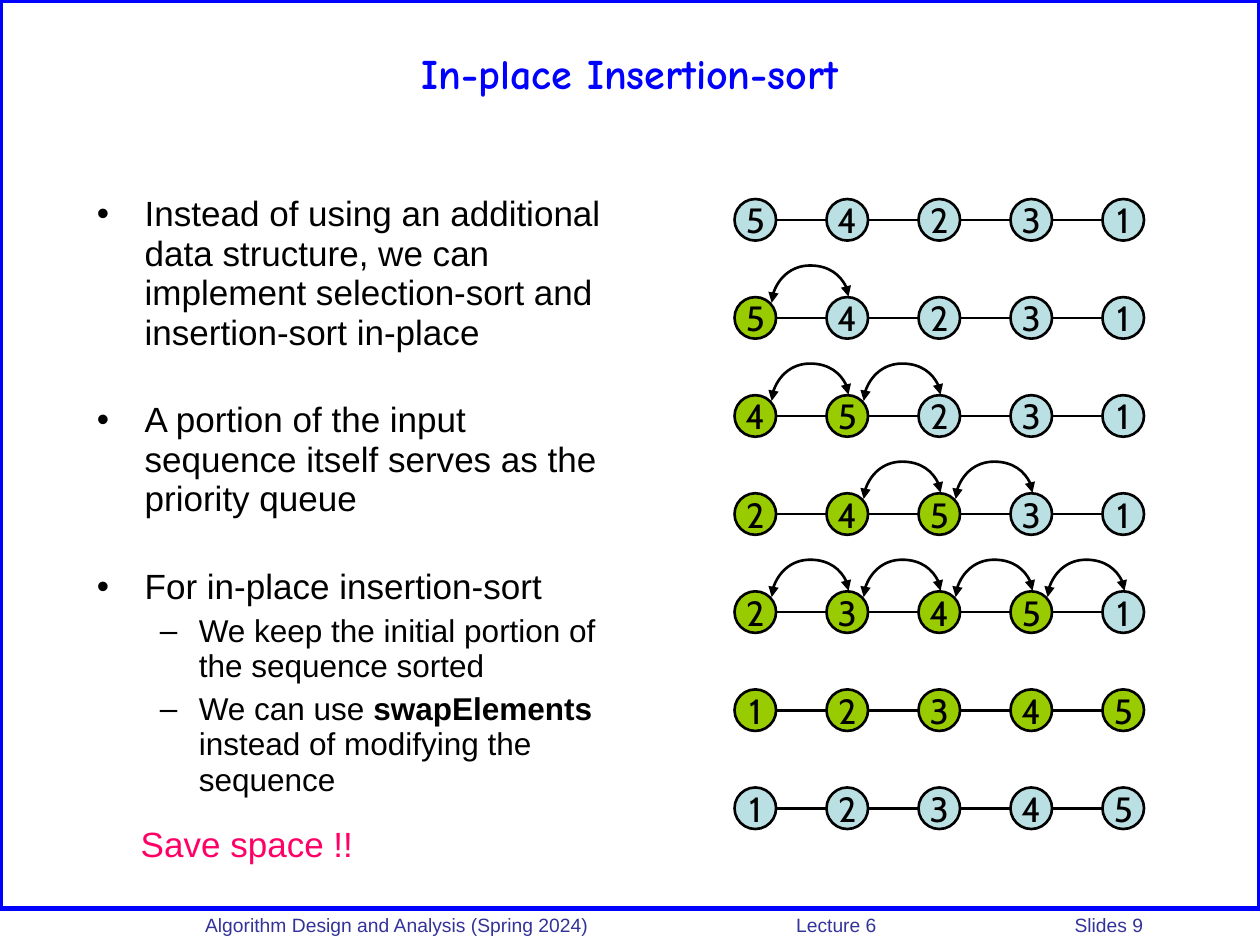
import dataclasses

import pptx
import pptx.dml.color
import pptx.enum.shapes
import pptx.enum.text
import pptx.oxml.ns
import pptx.util
from lxml import etree

Inches = pptx.util.Inches
Pt = pptx.util.Pt
ALIGN = pptx.enum.text.PP_ALIGN
ANCHOR = pptx.enum.text.MSO_ANCHOR
SHAPE = pptx.enum.shapes.MSO_SHAPE
CONNECTOR = pptx.enum.shapes.MSO_CONNECTOR
qn = pptx.oxml.ns.qn


@dataclasses.dataclass(frozen=True)
class Theme:
    blue: str = "0000FF"
    navy: str = "333399"
    black: str = "000000"
    pink: str = "FF0066"
    unsorted: str = "BBE0E3"
    sorted: str = "99CC00"
    body_font: str = "Arial"
    title_font: str = "Comic Neue"
    node_font: str = "Cabin"
    title: float = 24
    body: float = 20
    sub: float = 18
    footer: float = 11
    thin: float = 1.5
    thick: float = 3


def rgb(color):
    return pptx.dml.color.RGBColor.from_string(color)


class Deck:
    def __init__(self, theme):
        self.theme = theme
        self.prs = pptx.Presentation()
        self.prs.slide_width, self.prs.slide_height = Inches(10), Inches(7.5)
        self.s = self.prs.slides.add_slide(self.prs.slide_layouts[6])

    def style(self, p, size, color, font=None, bold=False):
        for r in p.runs:
            r.font.size = Pt(size)
            r.font.name = font or self.theme.body_font
            r.font.color.rgb = rgb(color)
            r.font.bold = bold

    def text_frame(self, x, y, w, h):
        sp = self.s.shapes.add_textbox(Inches(x), Inches(y), Inches(w), Inches(h))
        sp.text_frame.word_wrap = True
        return sp.text_frame

    def text(self, x, y, w, h, text, size, color, font=None, bold=False,
             align=ALIGN.CENTER, anchor=ANCHOR.TOP, tabs=()):
        tf = self.text_frame(x, y, w, h)
        tf.vertical_anchor = anchor
        tf.text = text
        p = tf.paragraphs[0]
        if tabs:
            tab_list = etree.SubElement(p._p.get_or_add_pPr(), qn("a:tabLst"))
            for pos in tabs:
                etree.SubElement(tab_list, qn("a:tab"), pos=str(Inches(pos)), algn="l")
        p.alignment = align
        self.style(p, size, color, font, bold)

    def bullets(self, x, y, w, h, items):
        tf = self.text_frame(x, y, w, h)
        for i, (level, before, pieces) in enumerate(items):
            p = tf.add_paragraph() if i else tf.paragraphs[0]
            p.level = level
            char, margin, hang = (("•", 0.38, 0.38), ("–", 0.81, 0.31))[level]
            pPr = p._p.get_or_add_pPr()
            pPr.set("marL", str(Inches(margin)))
            pPr.set("indent", str(-Inches(hang)))
            etree.SubElement(pPr, qn("a:buFont"), typeface=self.theme.body_font)
            etree.SubElement(pPr, qn("a:buChar"), char=char)
            p.line_spacing = 0.94
            p.space_before = Pt(before)
            for piece in pieces:
                p.add_run().text = piece
            self.style(p, self.theme.sub if level else self.theme.body, self.theme.black)
            for r in p.runs[1::2]:
                r.font.bold = True

    def shape(self, kind, x, y, w, h, line, width, fill=None):
        sp = self.s.shapes.add_shape(kind, Inches(x), Inches(y), Inches(w), Inches(h))
        sp.shadow.inherit = False
        sp.line.color.rgb = rgb(line)
        sp.line.width = Pt(width)
        if fill:
            sp.fill.solid()
            sp.fill.fore_color.rgb = rgb(fill)
        else:
            sp.fill.background()
        return sp

    def node(self, x, y, size, label, fill):
        t = self.theme
        sp = self.shape(SHAPE.OVAL, x, y, size, size, t.black, t.thin, fill)
        tf = sp.text_frame
        tf.word_wrap = False
        tf.vertical_anchor = ANCHOR.MIDDLE
        tf.margin_left = tf.margin_right = tf.margin_top = tf.margin_bottom = 0
        tf.text = label
        p = tf.paragraphs[0]
        p.alignment = ALIGN.CENTER
        self.style(p, t.body, t.black, t.node_font)

    def connector(self, kind, x1, y1, x2, y2):
        c = self.s.shapes.add_connector(kind, Inches(x1), Inches(y1), Inches(x2), Inches(y2))
        c.line.color.rgb = rgb(self.theme.black)
        c.line.width = Pt(self.theme.thin)
        etree.SubElement(c._element.spPr, qn("a:effectLst"))
        return c

    def swap_arrow(self, cx, cy, span, drop, bend):
        c = self.connector(CONNECTOR.CURVE, cx + drop / 2, cy + span / 2,
                           cx - drop / 2, cy - span / 2)
        spPr = c._element.spPr
        spPr.find(qn("a:xfrm")).set("rot", str(270 * 60000))
        guides = spPr.find(qn("a:prstGeom")).find(qn("a:avLst"))
        etree.SubElement(guides, qn("a:gd"), name="adj1", fmla=f"val {round(bend * 100000)}")
        ln = spPr.find(qn("a:ln"))
        for end in ("a:headEnd", "a:tailEnd"):
            etree.SubElement(ln, qn(end), type="triangle")


STEPS = [
    ("54231", 0, ()),
    ("54231", 1, (0,)),
    ("45231", 2, (0, 1)),
    ("24531", 3, (1, 2)),
    ("23451", 4, (0, 1, 2, 3)),
    ("12345", 5, ()),
    ("12345", 0, ()),
]

BULLETS = [
    (0, 0, ["Instead of using an additional data structure, we can implement "
            "selection-sort and insertion-sort in-place"]),
    (0, 27.4, ["A portion of the input sequence itself serves as the priority queue"]),
    (0, 27.4, ["For in-place insertion-sort"]),
    (1, 4, ["We keep the initial portion of the sequence sorted"]),
    (1, 4, ["We can use ", "swapElements", " instead of modifying the sequence"]),
]


def main():
    t = Theme()
    deck = Deck(t)
    deck.shape(SHAPE.RECTANGLE, 0, 0, 10, 7.21, t.blue, t.thick)
    deck.text(1.53, 7.2, 8.47, 0.26,
              "Algorithm Design and Analysis (Spring 2024)\tLecture 6\tSlides 9",
              t.footer, t.navy, align=ALIGN.LEFT, tabs=(4.69, 6.9))
    deck.text(0.5, 0.08, 9, 1, "In-place Insertion-sort", t.title, t.blue,
              t.title_font, True, anchor=ANCHOR.MIDDLE)
    deck.bullets(0.67, 1.5, 4.25, 5.17, BULLETS)

    left, top, size, col_gap, row_gap = 5.83, 1.58, 0.33, 0.73, 4.67 / 6
    for row, (values, sorted_count, swaps) in enumerate(STEPS):
        y = top + row * row_gap
        mid = y + size / 2
        deck.connector(CONNECTOR.STRAIGHT, left + size, mid,
                       left + (len(values) - 1) * col_gap, mid)
        for col, value in enumerate(values):
            fill = t.sorted if col < sorted_count else t.unsorted
            deck.node(left + col * col_gap, y, size, value, fill)
        for col in swaps:
            deck.swap_arrow(left + 0.6 + col * col_gap, y + 0.02, 0.61, 0.05, -4.93)

    deck.text(0.75, 6.48, 2.42, 0.44, "Save space !!", t.body, t.pink)
    deck.prs.save("out.pptx")


if __name__ == "__main__":
    main()
